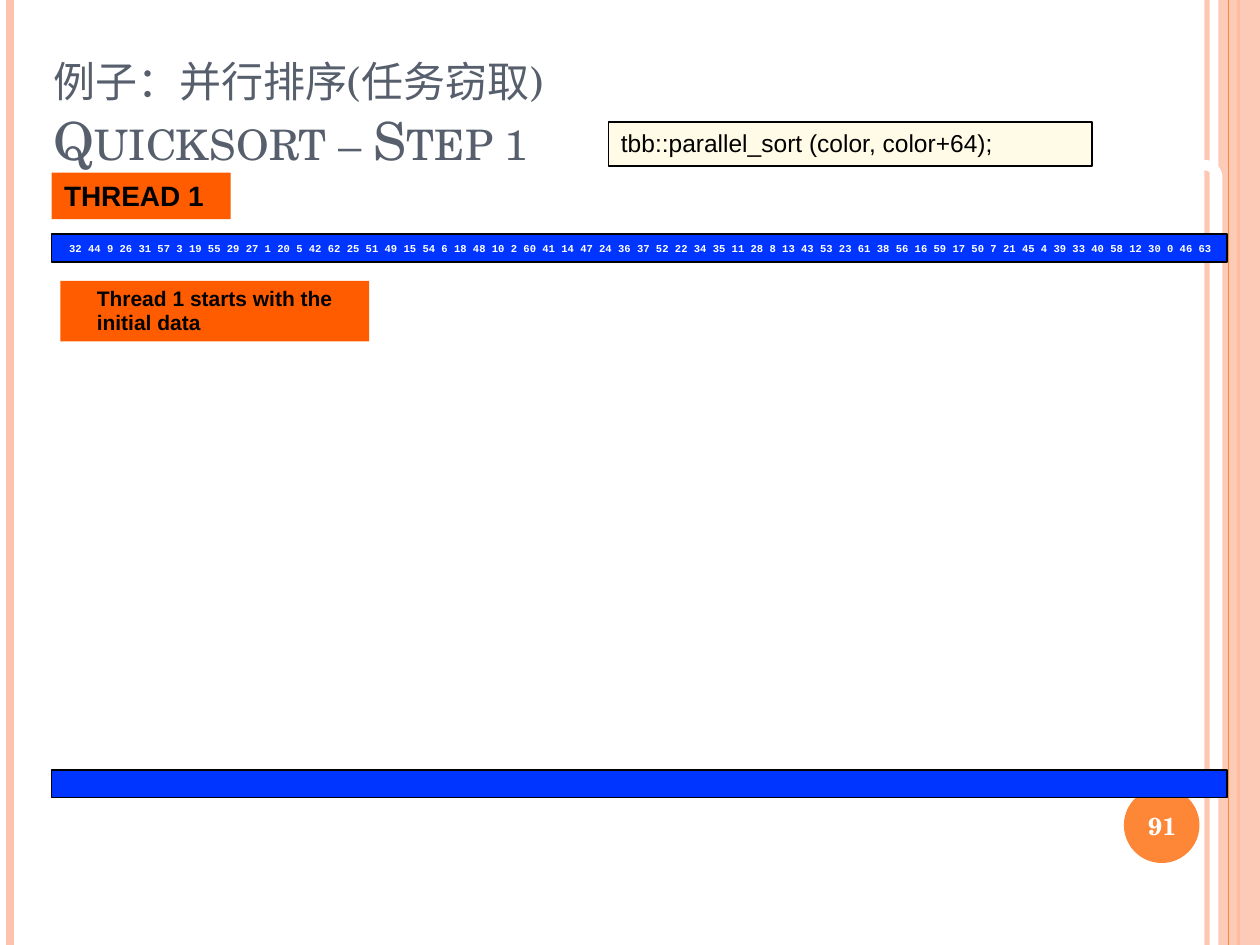
from lxml import etree
from pptx import Presentation
from pptx.dml.color import RGBColor
from pptx.enum.shapes import MSO_CONNECTOR, MSO_SHAPE
from pptx.enum.text import MSO_ANCHOR, PP_ALIGN
from pptx.oxml.ns import qn
from pptx.util import Inches, Pt

RECT, OVAL, ROUND = MSO_SHAPE.RECTANGLE, MSO_SHAPE.OVAL, MSO_SHAPE.ROUNDED_RECTANGLE
TOP, MID, LOW = MSO_ANCHOR.TOP, MSO_ANCHOR.MIDDLE, MSO_ANCHOR.BOTTOM
LEFT, MIDST = PP_ALIGN.LEFT, PP_ALIGN.CENTER
WIDE, HIGH = Inches(10), Inches(7.5)

HUES = {
    "pink": "FEC3AE", "peach": "FE8637", "slate": "575F6D", "orange": "FF5C00",
    "blue": "0034FF", "cream": "FFF39D", "black": "000000", "white": "FFFFFF",
}
SERIF, SANS, MONO = "TeX Gyre Schola", "Arial", "Courier New"
DATA = (
    "32 44 9 26 31 57 3 19 55 29 27 1 20 5 42 62 25 51 49 15 54 6 18 48 10 2 "
    "60 41 14 47 24 36 37 52 22 34 35 11 28 8 13 43 53 23 61 38 56 16 59 17 "
    "50 7 21 45 4 39 33 40 58 12 30 0 46 63"
)
# Background stripes: share across in percent, colour, points, opacity
STRIPES = [
    (95.8, "pink", 3, 93), (0.8, "pink", 4.5, 100),
    (98.3, "peach", 1.5, 100), (97.5, "peach", 0.75, 100),
]
BAR_X, BAR_W, BAR_H = 4.1, 93.3, 2.93


def place(x, y, w, h):
    """Turn percentages of the slide into lengths."""
    return [int(WIDE * x / 100), int(HIGH * y / 100),
            int(WIDE * w / 100), int(HIGH * h / 100)]


def hue(name):
    return RGBColor.from_string(HUES[name])


def fade(part, share):
    """Set the opacity in percent of a solid fill inside part."""
    tint = next(part.iter(qn("a:srgbClr")))
    etree.SubElement(tint, qn("a:alpha"), val=str(share * 1000))


def stripe(slide, x, color, width, share):
    left = int(WIDE * x / 100)
    line = slide.shapes.add_connector(MSO_CONNECTOR.STRAIGHT, left, 0, left, HIGH)
    line.line.color.rgb = hue(color)
    line.line.width = Pt(width)
    if share < 100:
        fade(line.line._ln, share)
    etree.SubElement(line._element.spPr, qn("a:effectLst"))


def block(slide, kind, box, fill=None, edge=None, width=1, share=100):
    shape = slide.shapes.add_shape(kind, *place(*box))
    shape.shadow.inherit = False
    if fill:
        shape.fill.solid()
        shape.fill.fore_color.rgb = hue(fill)
        if share < 100:
            fade(shape._element.spPr, share)
    else:
        shape.fill.background()
    if edge:
        shape.line.color.rgb = hue(edge)
        shape.line.width = Pt(width)
    else:
        shape.line.fill.background()
    return shape


def write(shape, lines, font, size, color, bold=False, caps=False,
          anchor=TOP, align=LEFT, wrap=True):
    frame = shape.text_frame
    frame.word_wrap = wrap
    frame.vertical_anchor = anchor
    para = frame.paragraphs[0]
    para.alignment = align
    for i, text in enumerate(lines):
        if i:
            para.add_line_break()
        run = para.add_run()
        run.text = text
        run.font.name = font
        run.font.size = Pt(size)
        run.font.bold = bold
        run.font.color.rgb = hue(color)
        if caps:
            run.font._element.set("cap", "small")
    return para


def label(slide, box, *args, **style):
    write(slide.shapes.add_textbox(*place(*box)), *args, **style)


def bar(slide, y):
    return block(slide, RECT, (BAR_X, y, BAR_W, BAR_H), "blue", "black")


def backdrop(slide):
    for item in STRIPES[:3]:
        stripe(slide, *item)
    block(slide, RECT, (96.7, 0, 3.3, 100), "pink", share=87)
    stripe(slide, *STRIPES[3])
    block(slide, OVAL, (89.2, 83.33, 6, 8), "peach")
    frame = block(slide, ROUND, (3.7, 17.47, 92.9, 65.6), edge="white", width=6)
    frame.adjustments[0] = 0.02


def main():
    deck = Presentation()
    deck.slide_width, deck.slide_height = WIDE, HIGH
    slide = deck.slides.add_slide(deck.slide_layouts[6])
    backdrop(slide)
    label(slide, (3.3, 1.73, 90, 17.07),
          ["例子：并行排序(任务窃取) ", "Quicksort – Step 1"],
          SERIF, 30, "slate", caps=True, anchor=LOW)

    thread = block(slide, RECT, (BAR_X, 18.27, 14.2, 4.93), "orange")
    write(thread, ["THREAD 1"], SANS, 16, "black", bold=True)

    write(bar(slide, 24.8), [DATA], MONO, 6, "white", bold=True,
          anchor=MID, align=MIDST, wrap=False)

    note = block(slide, RECT, (4.8, 29.73, 24.5, 6.4), "orange")
    para = write(note, ["Thread 1 starts with the initial data"],
                 SANS, 12, "black", bold=True, anchor=LOW)
    para.line_spacing = 0.95
    para._p.get_or_add_pPr().set("marL", str(Inches(0.19)))

    bar(slide, 81.47)

    call = block(slide, RECT, (48.3, 12.93, 38.4, 4.67), "cream", "black", share=25)
    write(call, ["tbb::parallel_sort (color, color+64);"], SANS, 14, "black")

    label(slide, (88.9, 83.6, 6.7, 7.6), ["91"], SERIF, 14, "white",
          bold=True, anchor=MID, align=MIDST)
    deck.save("out.pptx")


if __name__ == "__main__":
    main()
